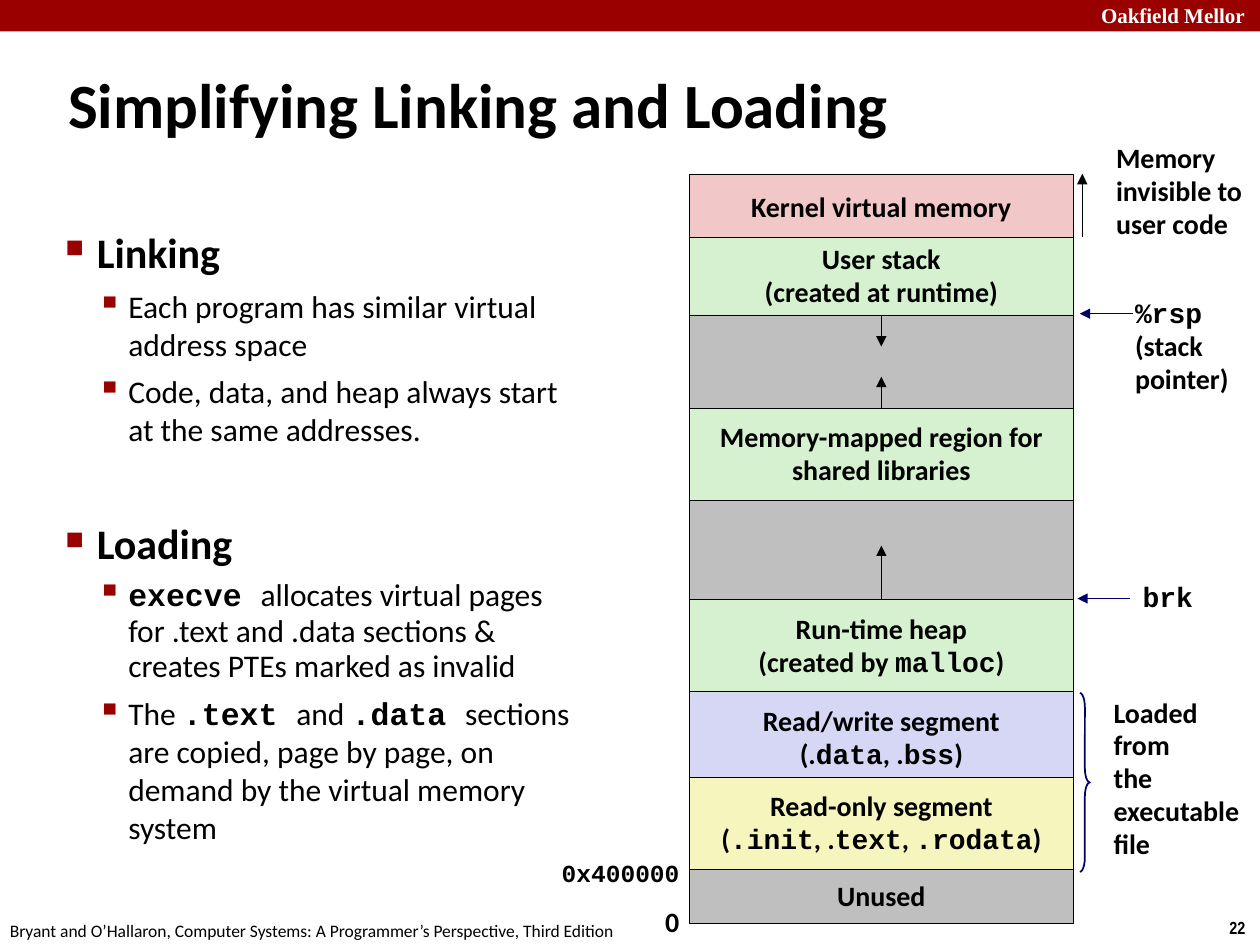
from dataclasses import dataclass

from lxml import etree
from pptx import Presentation
from pptx.dml.color import RGBColor
from pptx.enum.shapes import MSO_CONNECTOR, MSO_SHAPE
from pptx.enum.text import MSO_ANCHOR, PP_ALIGN
from pptx.oxml.ns import qn
from pptx.util import Inches, Pt

LEFT, CENTER = PP_ALIGN.LEFT, PP_ALIGN.CENTER
TOP, MIDDLE = MSO_ANCHOR.TOP, MSO_ANCHOR.MIDDLE
RECTANGLE, BRACE = MSO_SHAPE.RECTANGLE, MSO_SHAPE.RIGHT_BRACE
STRAIGHT = MSO_CONNECTOR.STRAIGHT
TOP_SIDE, BOTTOM_SIDE = 0, 2
TITLE_ONLY = 5


@dataclass(frozen=True)
class Theme:
    font: str = "Calibri"
    code_font: str = "Courier New"
    header_font: str = "Times New Roman"
    number_font: str = "Arial Narrow"
    black: str = "000000"
    white: str = "FFFFFF"
    red: str = "990000"
    navy: str = "000066"
    pink: str = "F1C7C7"
    green: str = "D5F1CF"
    gray: str = "BFBFBF"
    lilac: str = "D6D6F5"
    yellow: str = "F6F5BD"
    title_size: int = 36
    heading_size: int = 24
    body_size: int = 18
    label_size: int = 16
    address_size: int = 14
    header_size: int = 12
    footer_size: int = 10
    hairline: float = 0.25


THEME = Theme()

COLUMN_LEFT, COLUMN_WIDTH = 5.47, 3.05

# name, top, height, fill, lines (code stands between backticks)
REGIONS = [
    ("kernel", 1.38, 0.53, THEME.pink, ["Kernel virtual memory"]),
    ("stack", 1.88, 0.62, THEME.green, ["User stack", "(created at runtime)"]),
    ("stack gap", 2.5, 0.74, THEME.gray, []),
    ("mapped", 3.24, 0.73, THEME.green,
     ["Memory-mapped region for", "shared libraries"]),
    ("heap gap", 3.97, 0.79, THEME.gray, []),
    ("heap", 4.76, 0.73, THEME.green, ["Run-time heap", "(created by `malloc`)"]),
    ("data", 5.49, 0.73, THEME.lilac, ["Read/write segment", "(.`data`, .`bss`)"]),
    ("code", 6.17, 0.73, THEME.yellow,
     ["Read-only segment", "(`.init`, .`text`, `.rodata`)"]),
    ("unused", 6.9, 0.43, THEME.gray, ["Unused"]),
]

# left, top, width, height, size, lines
LABELS = [
    (8.76, 1.08, 1.26, 0.89, THEME.label_size, ["Memory", "invisible to", "user code"]),
    (8.91, 2.31, 0.95, 0.88, THEME.label_size, ["`%rsp`", "(stack", "pointer)"]),
    (8.97, 4.56, 0.6, 0.36, THEME.label_size, ["`brk`"]),
    (8.74, 5.48, 1.26, 1.42, THEME.label_size,
     ["Loaded", "from", "the", "executable", "file"]),
    (4.36, 6.77, 1.14, 0.33, THEME.address_size, ["`0x400000`"]),
    (5.18, 7.14, 0.31, 0.37, THEME.label_size, ["0"]),
]

# heading, space before, (point, line spacing)
TOPICS = [
    ("Linking", 12.5, [
        ("Each program has similar virtual address space", 1.0),
        ("Code, data, and heap always start at the same addresses.", 1.0),
    ]),
    ("Loading", 40, [
        ("`execve `allocates virtual pages for .text and .data sections & "
         "creates PTEs marked as invalid", 0.94),
        ("The `.text `and `.data `sections are copied, page by page, on demand "
         "by the virtual memory system", 1.0),
    ]),
]


def rgb(color):
    return RGBColor.from_string(color)


def write(para, text, size=THEME.label_size, font=THEME.font, color=THEME.black,
          bold=True, align=LEFT, spacing=None, before=0):
    """Write one paragraph; text between backticks is set as bold code."""
    para.alignment = align
    para.space_before = Pt(before)
    if spacing:
        para.line_spacing = spacing
    for index, part in enumerate(text.split("`")):
        if not part:
            continue
        is_code = index % 2 == 1
        span = para.add_run()
        span.text = part
        span.font.name = THEME.code_font if is_code else font
        span.font.size = Pt(size)
        span.font.bold = bold or is_code
        span.font.color.rgb = rgb(color)


def write_lines(frame, lines, wrap=False, anchor=TOP, **text_format):
    frame.word_wrap = wrap
    frame.vertical_anchor = anchor
    for index, line in enumerate(lines):
        para = frame.add_paragraph() if index else frame.paragraphs[0]
        write(para, line, **text_format)


def add_text(page, left, top, width, height, lines, **text_format):
    box = page.shapes.add_textbox(*map(Inches, (left, top, width, height)))
    write_lines(box.text_frame, lines, **text_format)
    return box


def add_shape(page, kind, left, top, width, height, fill=None, line=None,
              weight=THEME.hairline):
    shape = page.shapes.add_shape(kind, *map(Inches, (left, top, width, height)))
    shape.shadow.inherit = False
    if fill:
        shape.fill.solid()
        shape.fill.fore_color.rgb = rgb(fill)
    else:
        shape.fill.background()
    if line:
        shape.line.color.rgb = rgb(line)
        shape.line.width = Pt(weight)
    else:
        shape.line.fill.background()
    return shape


def add_arrow(page, x1, y1, x2, y2, color=THEME.black, start=None):
    """Draw an arrow; start may be a (shape, side) to join its tail to."""
    arrow = page.shapes.add_connector(STRAIGHT, *map(Inches, (x1, y1, x2, y2)))
    if start:
        arrow.begin_connect(*start)
    arrow.line.color.rgb = rgb(color)
    arrow.line.width = Pt(THEME.hairline)
    etree.SubElement(arrow.line._get_or_add_ln(), qn("a:tailEnd"), type="triangle")
    etree.SubElement(arrow._element.spPr, qn("a:effectLst"))


def add_bullet(para, symbol, percent, margin):
    props = para._p.get_or_add_pPr()
    props.set("marL", str(Inches(margin)))
    props.set("indent", str(Inches(-0.25)))
    color = etree.SubElement(props, qn("a:buClr"))
    etree.SubElement(color, qn("a:srgbClr"), val=THEME.red)
    etree.SubElement(props, qn("a:buSzPct"), val=str(percent * 1000))
    etree.SubElement(props, qn("a:buChar"), char=symbol)


def add_title(page, text):
    title = page.shapes.title
    title.left, title.top = Inches(0.44), Inches(0.39)
    title.width, title.height = Inches(9.06), Inches(0.86)
    write_lines(title.text_frame, [text], wrap=True, anchor=MIDDLE,
                size=THEME.title_size)


def add_header_and_footer(page):
    add_shape(page, RECTANGLE, 0, 0, 10, 0.25, fill=THEME.red)
    add_text(page, 8.64, -0.03, 1.43, 0.3, ["Oakfield Mellor"], wrap=True,
             size=THEME.header_size, font=THEME.header_font, color=THEME.white)
    add_text(page, 9.66, 7.23, 0.34, 0.27, ["22"],
             size=THEME.footer_size, font=THEME.number_font)
    add_text(page, -0.02, 7.25, 5.08, 0.27,
             ["Bryant and O’Hallaron, Computer Systems: "
              "A Programmer’s Perspective, Third Edition"],
             size=THEME.footer_size, bold=False)


def add_topics(page):
    frame = add_text(page, 0.42, 1.75, 4.33, 5.23, [], wrap=True).text_frame
    for index, (heading, before, points) in enumerate(TOPICS):
        para = frame.add_paragraph() if index else frame.paragraphs[0]
        write(para, heading, size=THEME.heading_size, before=before)
        add_bullet(para, "■", 60, 0.25)
        for point, spacing in points:
            para = frame.add_paragraph()
            para.level = 1
            write(para, point, size=THEME.body_size, bold=False,
                  spacing=spacing, before=5.6)
            add_bullet(para, "▪", 110, 0.5)


def add_memory_map(page):
    regions = {}
    for name, top, height, fill, lines in REGIONS:
        region = add_shape(page, RECTANGLE, COLUMN_LEFT, top, COLUMN_WIDTH, height,
                           fill=fill, line=THEME.black)
        write_lines(region.text_frame, lines, anchor=MIDDLE, align=CENTER, spacing=0.98)
        regions[name] = region

    middle = COLUMN_LEFT + COLUMN_WIDTH / 2
    for name, side, start, end in [("stack", BOTTOM_SIDE, 2.5, 2.75),
                                   ("mapped", TOP_SIDE, 3.24, 2.99),
                                   ("heap", TOP_SIDE, 4.76, 4.33)]:
        add_arrow(page, middle, start, middle, end, start=(regions[name], side))


def add_annotations(page):
    for left, top, width, height, size, lines in LABELS:
        add_text(page, left, top, width, height, lines, size=size, spacing=0.98)
    add_arrow(page, 8.59, 1.88, 8.59, 1.38)
    add_arrow(page, 8.99, 2.49, 8.57, 2.49, color=THEME.navy)
    add_arrow(page, 8.97, 4.75, 8.55, 4.75, color=THEME.navy)
    brace = add_shape(page, BRACE, 8.57, 5.5, 0.08, 1.42, line=THEME.navy, weight=1)
    brace.adjustments[0] = 1.42


def main():
    deck = Presentation()
    deck.slide_width, deck.slide_height = Inches(10), Inches(7.5)
    page = deck.slides.add_slide(deck.slide_layouts[TITLE_ONLY])
    add_header_and_footer(page)
    add_title(page, "Simplifying Linking and Loading")
    add_topics(page)
    add_memory_map(page)
    add_annotations(page)
    deck.save("out.pptx")


if __name__ == "__main__":
    main()
